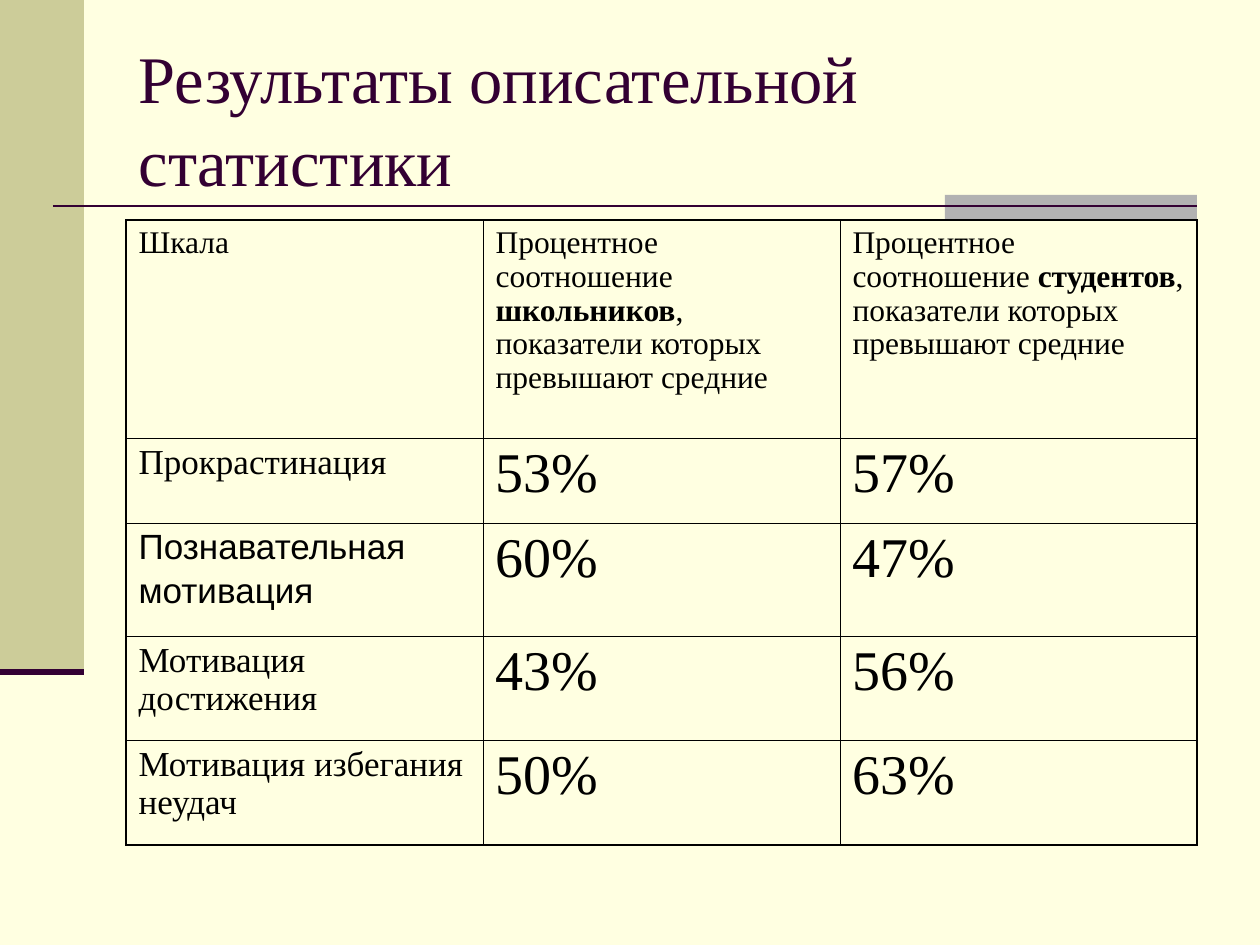
from dataclasses import dataclass
from lxml.etree import SubElement
from pptx import Presentation
from pptx.dml.color import RGBColor
from pptx.enum.shapes import MSO_CONNECTOR, MSO_SHAPE
from pptx.enum.text import MSO_ANCHOR, MSO_AUTO_SIZE, PP_ALIGN
from pptx.oxml import parse_xml
from pptx.oxml.ns import nsdecls, qn
from pptx.util import Pt


@dataclass
class Theme:
    paper: str = "FFFFE1"
    olive: str = "CCCC99"
    gray: str = "B2B2B2"
    plum: str = "330033"
    ink: str = "000000"
    serif: str = "Times New Roman"
    sans: str = "Arial"
    title: int = 38
    head: int = 18
    label: int = 20
    spacer: int = 24
    value: int = 32
    outer: float = 1.08
    inner: float = 0.45


def px(n):
    return round(n * 914400 / 126)


def style(font, size, color, name):
    font.size = Pt(size)
    font.name = name
    font.color.rgb = RGBColor.from_string(color)


th = Theme()
prs = Presentation()
prs.slide_width, prs.slide_height = px(1260), px(945)
s = prs.slides.add_slide(prs.slide_layouts[5])
s.background.fill.solid()
s.background.fill.fore_color.rgb = RGBColor.from_string(th.paper)

for x, y, w, h, color in [(0, 0, 84, 672, th.olive), (945, 195, 252, 25, th.gray)]:
    sp = s.shapes.add_shape(MSO_SHAPE.RECTANGLE, px(x), px(y), px(w), px(h))
    sp.shadow.inherit = False
    sp.fill.solid()
    sp.fill.fore_color.rgb = RGBColor.from_string(color)
    sp.line.fill.background()

for x1, x2, y, width in [(53, 1197, 206, 1.5), (0, 84, 672, 3.5)]:
    ln = s.shapes.add_connector(MSO_CONNECTOR.STRAIGHT, px(x1), px(y), px(x2), px(y))
    ln.line.color.rgb = RGBColor.from_string(th.plum)
    ln.line.width = Pt(width)
    SubElement(ln._element.spPr, qn("a:effectLst"))

title = s.shapes.title
title.left, title.top, title.width, title.height = px(126), px(38), px(1071), px(157)
tf = title.text_frame
tf.text = "Результаты описательной статистики"
tf.word_wrap = True
tf.auto_size = MSO_AUTO_SIZE.NONE
tf.vertical_anchor = MSO_ANCHOR.MIDDLE
p = tf.paragraphs[0]
p.alignment = PP_ALIGN.LEFT
p.line_spacing = 1.05
style(p.font, th.title, th.plum, th.serif)

scores = [
    ("Прокрастинация", "53%", "57%"),
    ("Познавательная мотивация", "60%", "47%"),
    ("Мотивация достижения", "43%", "56%"),
    ("Мотивация избегания неудач", "50%", "63%"),
]
heads = ["Шкала", "школьников", "студентов"]
heights = [218, 85, 113, 104, 105]
rows = [heads, *scores]
last_row, last_col = len(rows) - 1, len(heads) - 1

frame = s.shapes.add_table(len(rows), len(heads), px(126), px(220), px(1071), px(sum(heights)))
tbl = frame.table
tbl.first_row = tbl.horz_banding = False
for col in tbl.columns:
    col.width = px(357)
for row, h in zip(tbl.rows, heights):
    row.height = px(h)

for i, texts in enumerate(rows):
    for j, text in enumerate(texts):
        cell = tbl.cell(i, j)
        edges = {"L": j == 0, "R": j == last_col, "T": i == 0, "B": i == last_row}
        for side, is_outer in edges.items():
            width = Pt(th.outer if is_outer else th.inner)
            cell._tc.get_or_add_tcPr().append(parse_xml(
                f'<a:ln{side} {nsdecls("a")} w="{width}"><a:solidFill>'
                f'<a:srgbClr val="{th.ink}"/></a:solidFill></a:ln{side}>'))
        cell.fill.background()
        p = cell.text_frame.paragraphs[0]
        p.line_spacing = 0.97
        if i == 0 and j > 0:
            parts = ["Процентное соотношение ", text, ", показатели которых превышают средние"]
        else:
            parts = [text]
        for part in parts:
            r = p.add_run()
            r.text = part
            r.font.bold = len(parts) > 1 and part == text
        size = th.head if i == 0 else th.label if j == 0 else th.value
        name = th.sans if (i, j) == (2, 0) else th.serif
        style(p.font, size, th.ink, name)
        if name == th.sans:
            r = p.add_run()
            r.text = " "
            r.font.size = Pt(th.spacer)

prs.save("out.pptx")
